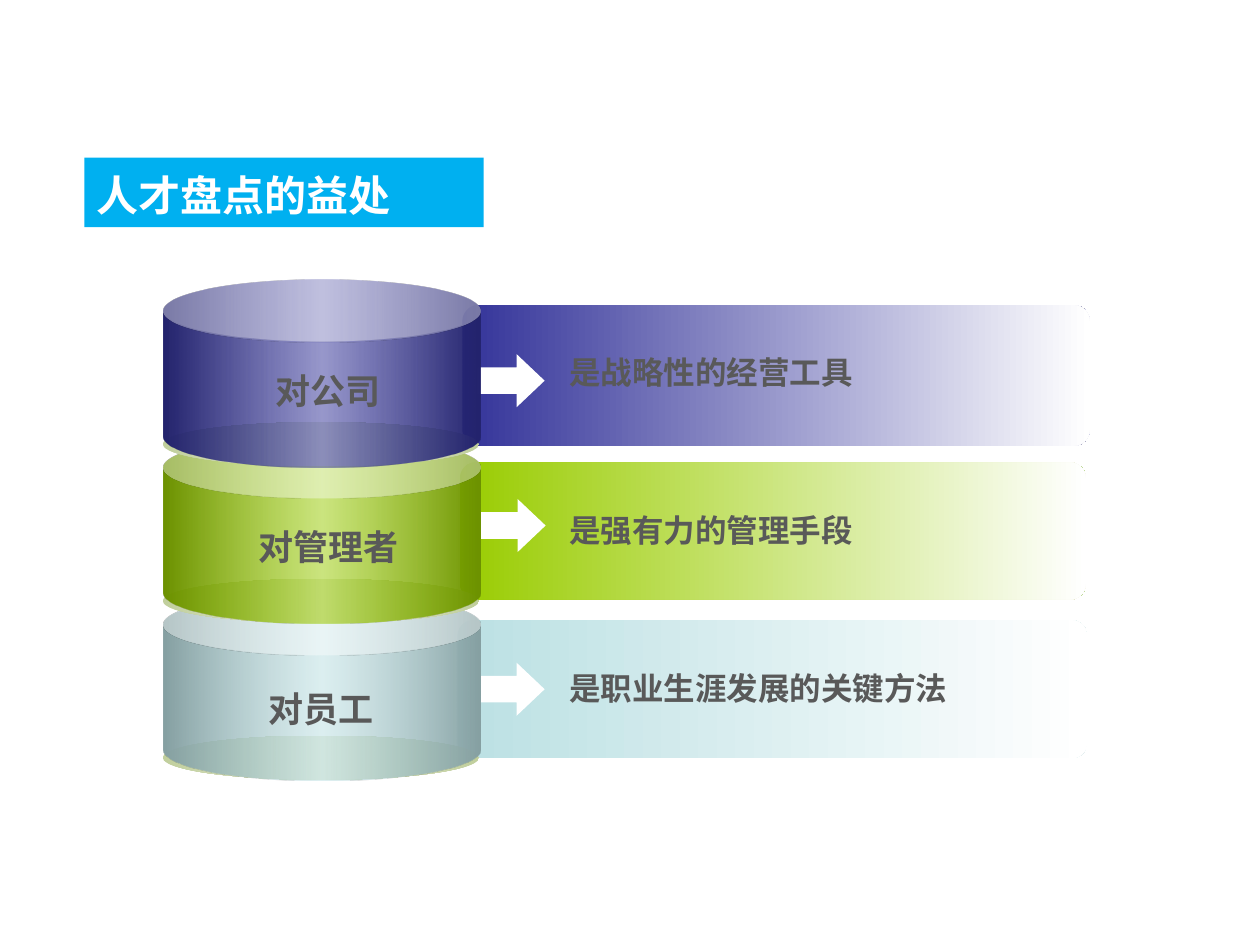
from lxml import etree
from pptx import Presentation
from pptx.dml.color import RGBColor
from pptx.enum.shapes import MSO_SHAPE
from pptx.enum.text import MSO_ANCHOR, MSO_AUTO_SIZE, PP_ALIGN
from pptx.oxml.ns import qn
from pptx.util import Cm, Pt

LEFT, CENTER = PP_ALIGN.LEFT, PP_ALIGN.CENTER
TOP, MIDDLE = MSO_ANCHOR.TOP, MSO_ANCHOR.MIDDLE
GROW, FIXED = MSO_AUTO_SIZE.SHAPE_TO_FIT_TEXT, MSO_AUTO_SIZE.NONE
ROUNDED, ARROW = MSO_SHAPE.ROUNDED_RECTANGLE, MSO_SHAPE.RIGHT_ARROW
OVAL, DRUM = MSO_SHAPE.OVAL, MSO_SHAPE.CAN

THEME = {
    "font": "Noto Sans CJK SC",
    "white": "FFFFFF",
    "title fill": "00B0F0",
    "text": "595959",
    "rim": ("C1CF9D", "E7ECDC"),
    "title size": 24,
    "label size": 20,
    "benefit size": 18,
}

# Content, top to bottom; all places in cm (left, top, width, height)
TITLE = "人才盘点的益处"
TITLE_AT = (1.7, 3.18, 8.05, 1.4)
ROWS = [
    {"label": "对公司", "benefit": "是战略性的经营工具", "color": "333399", "edge": "24246D",
     "bar": (9.32, 6.15, 12.65, 2.84), "arrow": (9.63, 7.14), "label at": (3.66, 7.32)},
    {"label": "对管理者", "benefit": "是强有力的管理手段", "color": "99CC00", "edge": "6D9200",
     "bar": (9.27, 9.32, 12.62, 2.77), "arrow": (9.65, 10.06), "label at": (3.66, 10.46)},
    {"label": "对员工", "benefit": "是职业生涯发展的关键方法", "color": "BBE0E3", "edge": "86A0A2",
     "bar": (9.22, 12.5, 12.7, 2.79), "arrow": (9.63, 13.36), "label at": (3.51, 13.72)},
]
DRUM_STEP, BENEFIT_STEP = 3.16, 3.18
ARROW_SIZE, LABEL_SIZE = (1.35, 1.07), (5.92, 1.09)


def lengths(at):
    return [Cm(value) for value in at]


def fill_solid(shape, color):
    shape.fill.solid()
    shape.fill.fore_color.rgb = RGBColor.from_string(color)


def fill_gradient(shape, stops):
    """Stops are (percent, colour, opacity percent), left to right."""
    shape.fill.gradient()
    shape.fill.gradient_angle = 0
    stop_list = next(shape._element.iter(qn("a:gsLst")))
    for old in list(stop_list):
        stop_list.remove(old)
    for position, color, opacity in stops:
        stop = etree.SubElement(stop_list, qn("a:gs"), pos=str(position * 1000))
        tint = etree.SubElement(stop, qn("a:srgbClr"), val=color)
        if opacity < 100:
            etree.SubElement(tint, qn("a:alpha"), val=str(opacity * 1000))


def add_plain(shapes, kind, at, adjustments=()):
    shape = shapes.add_shape(kind, *lengths(at))
    shape.shadow.inherit = False
    shape.line.fill.background()
    for index, value in enumerate(adjustments):
        shape.adjustments[index] = value
    return shape


def add_text_shadow(properties):
    effects = etree.Element(qn("a:effectLst"))
    shadow = etree.SubElement(effects, qn("a:outerShdw"), dist="25400", dir="2700000")
    etree.SubElement(shadow, qn("a:srgbClr"), val="000000")
    properties.find(qn("a:latin")).addprevious(effects)


def write(box, text, size, color, align=LEFT, anchor=TOP, fit=GROW, spacing=1.0, shadow=False):
    frame = box.text_frame
    frame_format = {
        "word_wrap": True, "auto_size": fit, "vertical_anchor": anchor,
        "margin_left": Cm(0.25), "margin_right": Cm(0.25),
        "margin_top": Cm(0.13), "margin_bottom": Cm(0.13),
    }
    for name, value in frame_format.items():
        setattr(frame, name, value)
    para = frame.paragraphs[0]
    para.alignment, para.line_spacing = align, spacing
    span = para.add_run()
    span.text = text
    for name, value in {"name": THEME["font"], "size": Pt(size), "bold": True}.items():
        setattr(span.font, name, value)
    span.font.color.rgb = RGBColor.from_string(color)
    properties = span._r.get_or_add_rPr()
    east_asian = etree.Element(qn("a:ea"), typeface=THEME["font"])
    properties.find(qn("a:latin")).addnext(east_asian)
    if shadow:
        add_text_shadow(properties)


def main():
    deck = Presentation()
    deck.slide_width, deck.slide_height = Cm(25.4), Cm(19.05)
    page = deck.slides.add_slide(deck.slide_layouts[5])
    shapes = page.shapes

    # Title band
    title = shapes.title
    title.left, title.top, title.width, title.height = lengths(TITLE_AT)
    fill_solid(title, THEME["title fill"])
    write(title, TITLE, THEME["title size"], THEME["white"],
          anchor=MIDDLE, fit=FIXED, spacing=1.1)

    # Fading bars, benefits and arrows
    for index, row in enumerate(ROWS):
        bar = add_plain(shapes, ROUNDED, row["bar"], [0.115])
        fill_gradient(bar, [(0, row["color"], 100), (100, THEME["white"], 100)])
        benefit_at = (11.23, 6.99 + index * BENEFIT_STEP, 9.95, 1.02)
        benefit = shapes.add_textbox(*lengths(benefit_at))
        write(benefit, row["benefit"], THEME["benefit size"], THEME["text"])
        arrow = add_plain(shapes, ARROW, row["arrow"] + ARROW_SIZE, [0.5, 0.528])
        fill_solid(arrow, THEME["white"])

    # Stacked drums, lowest first so that each upper one overlaps the next
    rim_edge, rim_middle = THEME["rim"]
    for index, row in reversed(list(enumerate(ROWS))):
        offset = index * DRUM_STEP
        stack = shapes.add_group_shape()
        rim = add_plain(stack.shapes, OVAL, (3.28, 8.51 + offset, 6.38, 0.89))
        fill_gradient(rim, [(0, rim_edge, 100), (50, rim_middle, 100), (100, rim_edge, 100)])
        drum = add_plain(stack.shapes, DRUM, (3.3, 5.64 + offset, 6.38, 3.78), [0.332])
        fill_gradient(drum, [(0, row["edge"], 100), (50, row["color"], 50),
                             (100, row["edge"], 100)])

    # Drum labels
    for row in ROWS:
        label = shapes.add_textbox(*lengths(row["label at"] + LABEL_SIZE))
        write(label, row["label"], THEME["label size"], THEME["text"],
              align=CENTER, shadow=True)

    deck.save("out.pptx")


if __name__ == "__main__":
    main()
